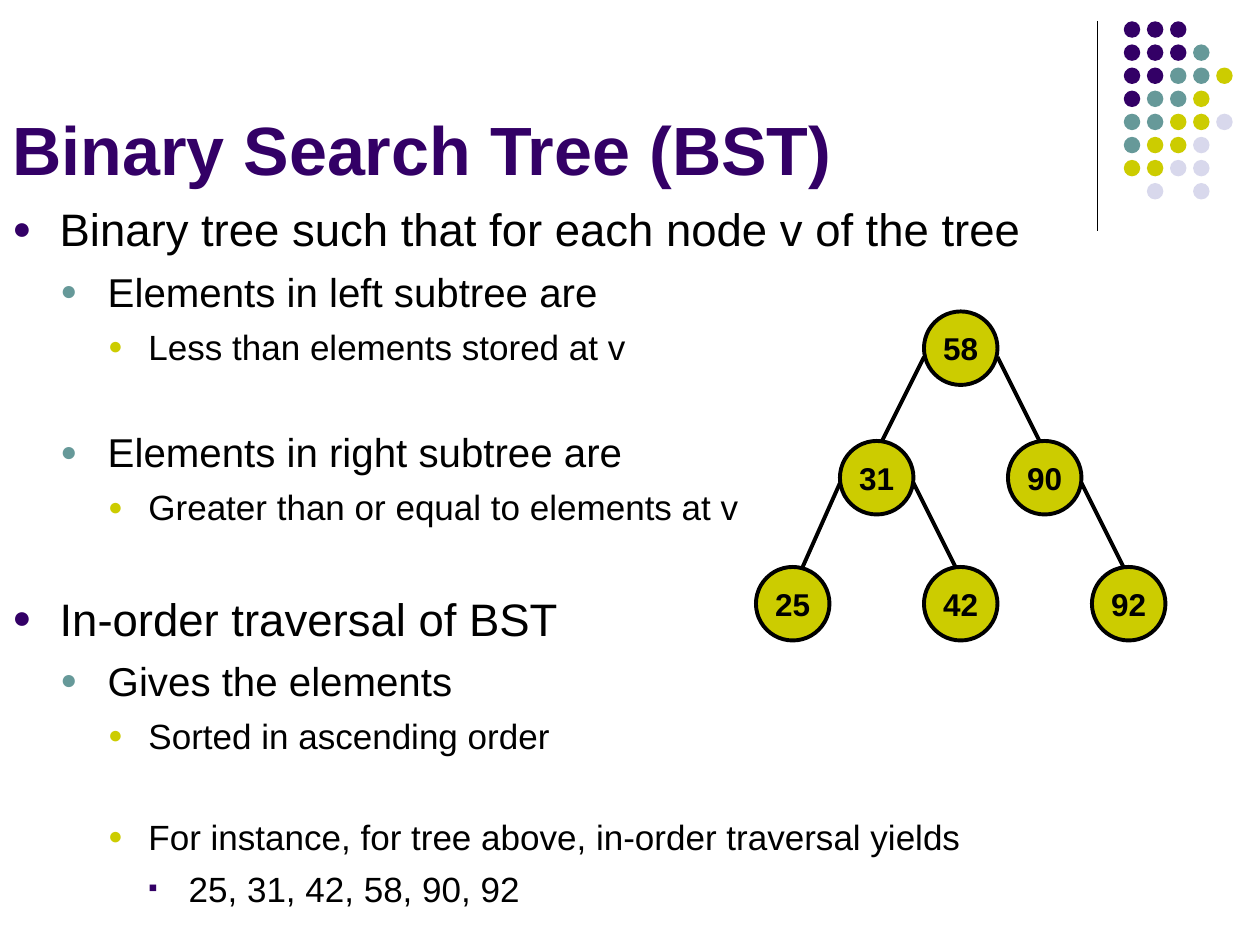
"""Build a slide on binary search trees with an outline and an example tree."""
from lxml.etree import SubElement
from pptx import Presentation
from pptx.dml.color import RGBColor
from pptx.enum.shapes import MSO_CONNECTOR as Connector, MSO_SHAPE as Shape
from pptx.enum.text import MSO_ANCHOR as Anchor, PP_ALIGN as Align
from pptx.oxml.ns import qn
from pptx.util import Pt

FONT = "Arial"
COLORS = {"purple": "330066", "teal": "669999", "olive": "CCCC00",
          "lilac": "D8D8EC", "black": "000000"}
TITLE = "Binary Search Tree (BST)"
OUTLINE = [
    (0, "Binary tree such that for each node v of the tree", 3),
    (1, "Elements in left subtree are ", 6.3),
    (2, "Less than elements stored at v", 5.6),
    (1, "Elements in right subtree are", 34.4),
    (2, "Greater than or equal to elements at v", 5.6),
    (0, "In-order traversal of BST", 36),
    (1, "Gives the elements ", 6.3),
    (2, "Sorted in ascending order", 5.6),
    (2, "For instance, for tree above, in-order traversal yields", 33.7),
    (3, "25, 31, 42, 58, 90, 92", 5.6),
]
LEVELS = [
    {"size": 26, "margin": 27, "hang": 27, "bullet": "●", "color": "purple", "scale": 70},
    {"size": 23, "margin": 54.5, "hang": 27, "bullet": "●", "color": "teal", "scale": 70},
    {"size": 20, "margin": 77.75, "hang": 23, "bullet": "●", "color": "olive", "scale": 70},
    {"size": 20, "margin": 100.75, "hang": 23, "bullet": "▪", "color": "purple", "scale": 75},
]
DOT_ROWS = ["PPP", "PPPT", "PPTTO", "PTTO", "TTOOL", "TOOL", "OOLL", " L L"]
DOT_COLORS = {"P": "purple", "T": "teal", "O": "olive", "L": "lilac"}
DOT_LEFT, DOT_TOP, DOT_SIZE, DOT_PITCH = 642.2, 12.2, 9.4, 13.2

NODES = {"58": (2, 0), "31": (1, 1), "90": (3, 1),
         "25": (0, 2), "42": (2, 2), "92": (4, 2)}
EDGES = [("58", "31", 204, 252), ("58", "90", 204, 252), ("31", "25", 276, 330),
         ("31", "42", 276, 324), ("90", "92", 276, 324)]
TREE_LEFT, COLUMN_PITCH, NODE_SIZE = 432, 48, 42
ROW_TOPS = [178, 252, 324]


def rgb(color):
    return RGBColor.from_string(COLORS[color])


def style(paragraph, size, color="black", bold=False):
    for run in paragraph.runs:
        run.font.name, run.font.size, run.font.bold = FONT, Pt(size), bold
        run.font.color.rgb = rgb(color)


def add_line(x1, y1, x2, y2, width):
    line = slide.shapes.add_connector(Connector.STRAIGHT, Pt(x1), Pt(y1), Pt(x2), Pt(y2))
    line.line.color.rgb, line.line.width = rgb("black"), Pt(width)
    SubElement(line._element.spPr, qn("a:effectLst"))


def add_circle(left, top, size, color):
    circle = slide.shapes.add_shape(Shape.OVAL, Pt(left), Pt(top), Pt(size), Pt(size))
    circle.shadow.inherit = False
    circle.fill.solid()
    circle.fill.fore_color.rgb = rgb(color)
    circle.line.fill.background()
    return circle


def add_text(left, top, width, height, anchor):
    frame = slide.shapes.add_textbox(Pt(left), Pt(top), Pt(width), Pt(height)).text_frame
    frame.word_wrap, frame.vertical_anchor = True, anchor
    return frame


def add_bullet(paragraph, level):
    props = paragraph._p.get_or_add_pPr()
    props.set("marL", str(Pt(level["margin"])))
    props.set("indent", str(-Pt(level["hang"])))
    SubElement(SubElement(props, qn("a:buClr")), qn("a:srgbClr"), val=COLORS[level["color"]])
    SubElement(props, qn("a:buSzPct"), val=str(level["scale"] * 1000))
    SubElement(props, qn("a:buFont"), typeface=FONT)
    SubElement(props, qn("a:buChar"), char=level["bullet"])


def node_left(value):
    return TREE_LEFT + NODES[value][0] * COLUMN_PITCH


deck = Presentation()
deck.slide_width, deck.slide_height = Pt(720), Pt(540)
slide = deck.slides.add_slide(deck.slide_layouts[6])

add_line(627, 12, 627, 132, 0.75)
for row, dots in enumerate(DOT_ROWS):
    for column, dot in enumerate(dots):
        if dot in DOT_COLORS:
            add_circle(DOT_LEFT + column * DOT_PITCH, DOT_TOP + row * DOT_PITCH,
                       DOT_SIZE, DOT_COLORS[dot])

heading = add_text(0, 0, 630, 111.6, Anchor.BOTTOM)
heading.text = TITLE
style(heading.paragraphs[0], 39, "purple", True)

outline = add_text(0, 111.6, 720, 428.4, Anchor.TOP)
for index, (depth, wording, gap) in enumerate(OUTLINE):
    point = outline.add_paragraph() if index else outline.paragraphs[0]
    point.text, point.level, point.space_before = wording, depth, Pt(gap)
    style(point, LEVELS[depth]["size"])
    add_bullet(point, LEVELS[depth])

for parent, child, start, end in EDGES:
    goes_left = node_left(child) < node_left(parent)
    add_line(node_left(parent) + (0 if goes_left else NODE_SIZE), start,
             node_left(child) + (24 if goes_left else 18), end, 2.25)

for value, (column, row) in NODES.items():
    node = add_circle(node_left(value), ROW_TOPS[row], NODE_SIZE, "olive")
    node.line.color.rgb, node.line.width = rgb("black"), Pt(2.25)
    label = node.text_frame
    label.text, label.word_wrap, label.vertical_anchor = value, False, Anchor.MIDDLE
    label.paragraphs[0].alignment = Align.CENTER
    style(label.paragraphs[0], 18, bold=True)

deck.save("out.pptx")
